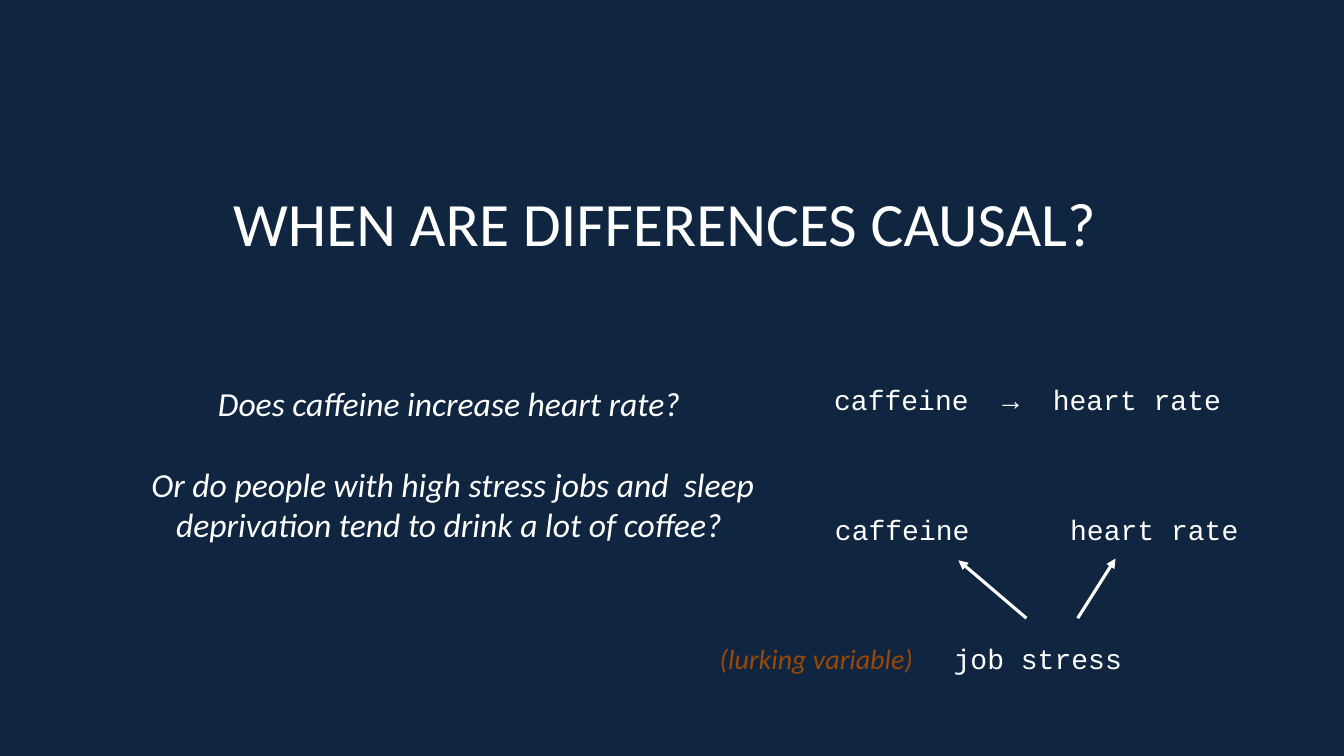
from lxml import etree
from pptx import Presentation
from pptx import util as u
from pptx.dml.color import RGBColor
from pptx.enum import shapes, text
from pptx.oxml.ns import qn

NAVY = RGBColor(0x10, 0x25, 0x3F)
WHITE = RGBColor(0xFF, 0xFF, 0xFF)
RUST = RGBColor(0x98, 0x48, 0x07)
CELL = u.Inches(1) // 12
COLUMNS, ROWS = 160, 90
CENTER, LEFT = text.PP_ALIGN.CENTER, text.PP_ALIGN.LEFT

PROSE = {"name": "Calibri", "size": u.Pt(24), "italic": True}
NODE = {"name": "Courier New", "size": u.Pt(20)}
HEADING = {"name": "Calibri", "size": u.Pt(44)}
LABEL = {"name": "Calibri", "size": u.Pt(20), "italic": True}


def cells(*counts):
    return [round(count * CELL) for count in counts]


def add_text(page, box, lines, style, color=WHITE, align=CENTER, gap=0,
             anchor=text.MSO_ANCHOR.TOP, wrap=True):
    frame = page.shapes.add_textbox(*cells(*box)).text_frame
    frame.word_wrap = wrap
    frame.vertical_anchor = anchor
    for index, line in enumerate(lines):
        para = frame.add_paragraph() if index else frame.paragraphs[0]
        para.alignment = align
        para.space_before = u.Pt(gap if index else 0)
        span = para.add_run()
        span.text = line
        for key, value in style.items():
            setattr(span.font, key, value)
        span.font.color.rgb = color
    return frame


def add_tab(frame, column):
    props = frame.paragraphs[0]._p.get_or_add_pPr()
    stops = etree.SubElement(props, qn("a:tabLst"))
    etree.SubElement(stops, qn("a:tab"), pos=str(cells(column)[0]), algn="l")


def add_arrow(page, start, end):
    arrow = page.shapes.add_connector(
        shapes.MSO_CONNECTOR.STRAIGHT, *cells(*start, *end))
    arrow.line.color.rgb = WHITE
    arrow.line.width = u.Pt(2.25)
    etree.SubElement(arrow.line._get_or_add_ln(), qn("a:tailEnd"), type="triangle")
    etree.SubElement(arrow._element.spPr, qn("a:effectLst"))


def add_title(page, box):
    add_text(page, box, ["WHEN ARE DIFFERENCES CAUSAL? "], HEADING,
             anchor=text.MSO_ANCHOR.MIDDLE)


def add_questions(page, box):
    add_text(page, box, [
        "Does caffeine increase heart rate? ",
        "Or do people with high stress jobs and  sleep deprivation "
        "tend to drink a lot of coffee? ",
    ], PROSE, gap=29)


def add_diagram(page, box):
    left, top, width, height = box
    step = height * 0.42
    node_width, node_height = width * 0.91, height * 0.15

    def node(column, row, line, **layout):
        place = (left + column, top + row * step, node_width, node_height)
        return add_text(page, place, [line], NODE, **layout)

    node(6, 0, "caffeine  \u2192  heart rate")
    effects = node(7.1, 1, "caffeine\theart rate", align=LEFT)
    effects.margin_left = cells(7.8)[0]
    add_tab(effects, 28)
    node(7.2, 2, "job stress")
    for start, end in (((43.8, 28.6), (48.3, 21.5)),
                       ((37.7, 28.6), (29.6, 21.7))):
        add_arrow(page, (left + start[0], top + start[1]),
                  (left + end[0], top + end[1]))
    add_text(page, (left, top + 2 * step, width * 0.37, node_height),
             ["(lurking variable)"], LABEL, color=RUST, align=LEFT, wrap=False)


deck = Presentation()
deck.slide_width, deck.slide_height = cells(COLUMNS, ROWS)
page = deck.slides.add_slide(deck.slide_layouts[6])
page.background.fill.solid()
page.background.fill.fore_color.rgb = NAVY
add_title(page, (12, 16.8, 136, 19.3))
add_questions(page, (9.1, 45, 89.6, 20.6))
add_diagram(page, (84.5, 45, 70, 36.6))
deck.save("out.pptx")
